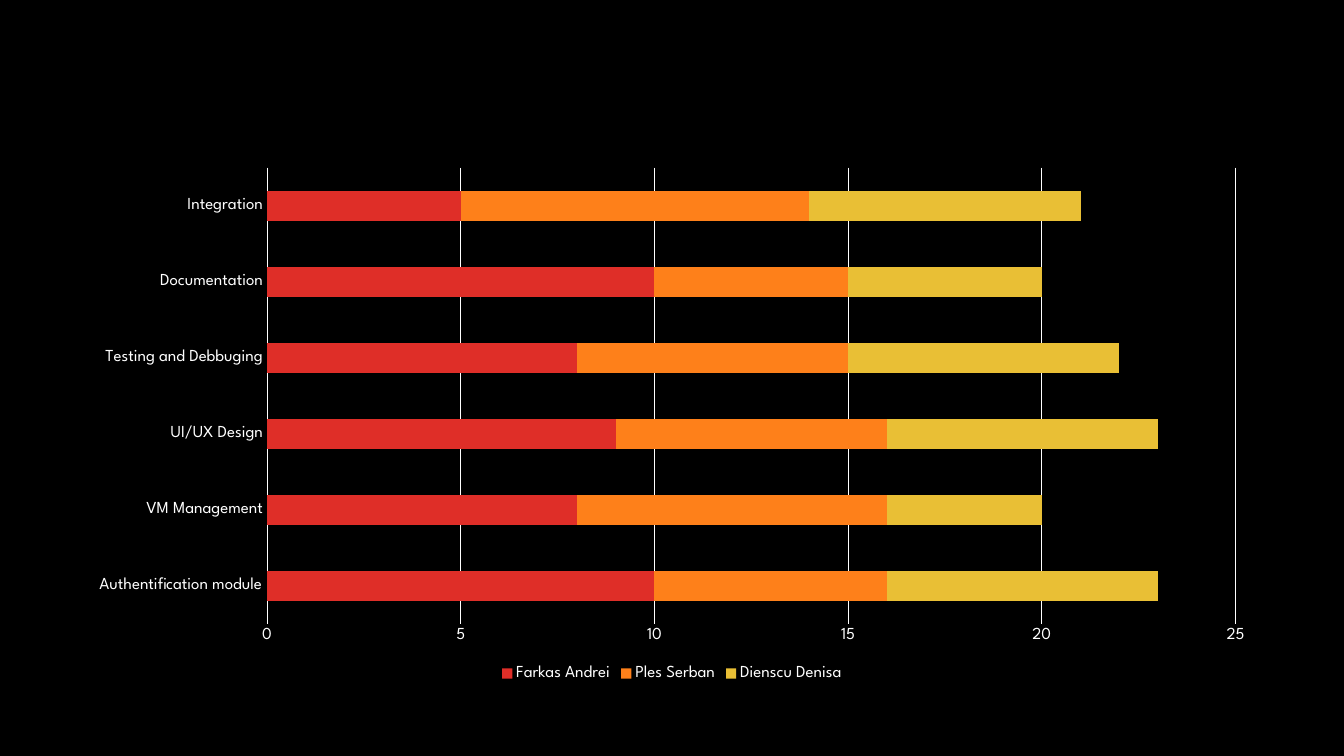
from pptx import Presentation
from pptx.chart.data import CategoryChartData
from pptx.dml.color import RGBColor
from pptx.enum.chart import XL_CHART_TYPE, XL_LEGEND_POSITION, XL_TICK_MARK
from pptx.util import Inches, Pt

BAR_STACKED = XL_CHART_TYPE.BAR_STACKED
LEGEND_BOTTOM = XL_LEGEND_POSITION.BOTTOM
NO_TICK = XL_TICK_MARK.NONE

BLACK = RGBColor(0x00, 0x00, 0x00)
WHITE = RGBColor(0xFF, 0xFF, 0xFF)
RED = RGBColor(0xDF, 0x2E, 0x28)
ORANGE = RGBColor(0xFE, 0x80, 0x1A)
YELLOW = RGBColor(0xE9, 0xBF, 0x35)

TASKS = [
    "Authentification module",
    "VM Management",
    "UI/UX Design",
    "Testing and Debbuging",
    "Documentation",
    "Integration",
]
MEMBERS = [
    ("Farkas Andrei", RED, (10, 8, 9, 8, 10, 5)),
    ("Ples Serban", ORANGE, (6, 8, 7, 7, 5, 9)),
    ("Dienscu Denisa", YELLOW, (7, 4, 7, 7, 5, 7)),
]


def set_attributes(target, values):
    for name, value in values.items():
        setattr(target, name, value)


class SlideBuilder:
    font_name = "League Spartan"
    label_size = 12
    line_width = Pt(0.75)
    columns = 160
    rows = 90

    def __init__(self, presentation):
        self.column = presentation.slide_width / self.columns
        self.row = presentation.slide_height / self.rows
        self.slide = presentation.slides.add_slide(presentation.slide_layouts[6])

    def background(self, color):
        fill = self.slide.background.fill
        fill.solid()
        fill.fore_color.rgb = color

    def font(self, font, size=label_size):
        set_attributes(font, {"name": self.font_name, "size": Pt(size), "bold": False})
        font.color.rgb = WHITE

    def line(self, line):
        line.color.rgb = WHITE
        line.width = self.line_width

    def axis(self, axis, values):
        set_attributes(axis, {"major_tick_mark": NO_TICK, "minor_tick_mark": NO_TICK, **values})
        self.font(axis.tick_labels.font)

    def stacked_bars(self, column, row, width, height, categories, members):
        data = CategoryChartData(number_format="General")
        data.categories = categories
        for name, _, values in members:
            data.add_series(name, values)
        frame = self.slide.shapes.add_chart(
            BAR_STACKED,
            round(column * self.column),
            round(row * self.row),
            round(width * self.column),
            round(height * self.row),
            data,
        )
        chart = frame.chart
        chart.has_title = False
        self.font(chart.font, 10)

        plot = chart.plots[0]
        set_attributes(plot, {"gap_width": 150, "overlap": 100, "vary_by_categories": False})
        for series, (_, color, _) in zip(plot.series, members):
            series.format.fill.solid()
            series.format.fill.fore_color.rgb = color

        self.axis(chart.category_axis, {"has_major_gridlines": False})
        self.line(chart.category_axis.format.line)
        self.axis(
            chart.value_axis,
            {
                "has_major_gridlines": True,
                "minimum_scale": 0,
                "maximum_scale": 25,
                "major_unit": 5,
            },
        )
        chart.value_axis.format.line.fill.background()
        self.line(chart.value_axis.major_gridlines.format.line)

        chart.has_legend = True
        set_attributes(chart.legend, {"position": LEGEND_BOTTOM, "include_in_layout": False})
        self.font(chart.legend.font)


def main():
    presentation = Presentation()
    set_attributes(presentation, {"slide_width": Inches(13.33), "slide_height": Inches(7.5)})
    builder = SlideBuilder(presentation)
    builder.background(BLACK)
    builder.stacked_bars(9, 18.72, 142, 62.88, TASKS, MEMBERS)
    presentation.save("out.pptx")


if __name__ == "__main__":
    main()
